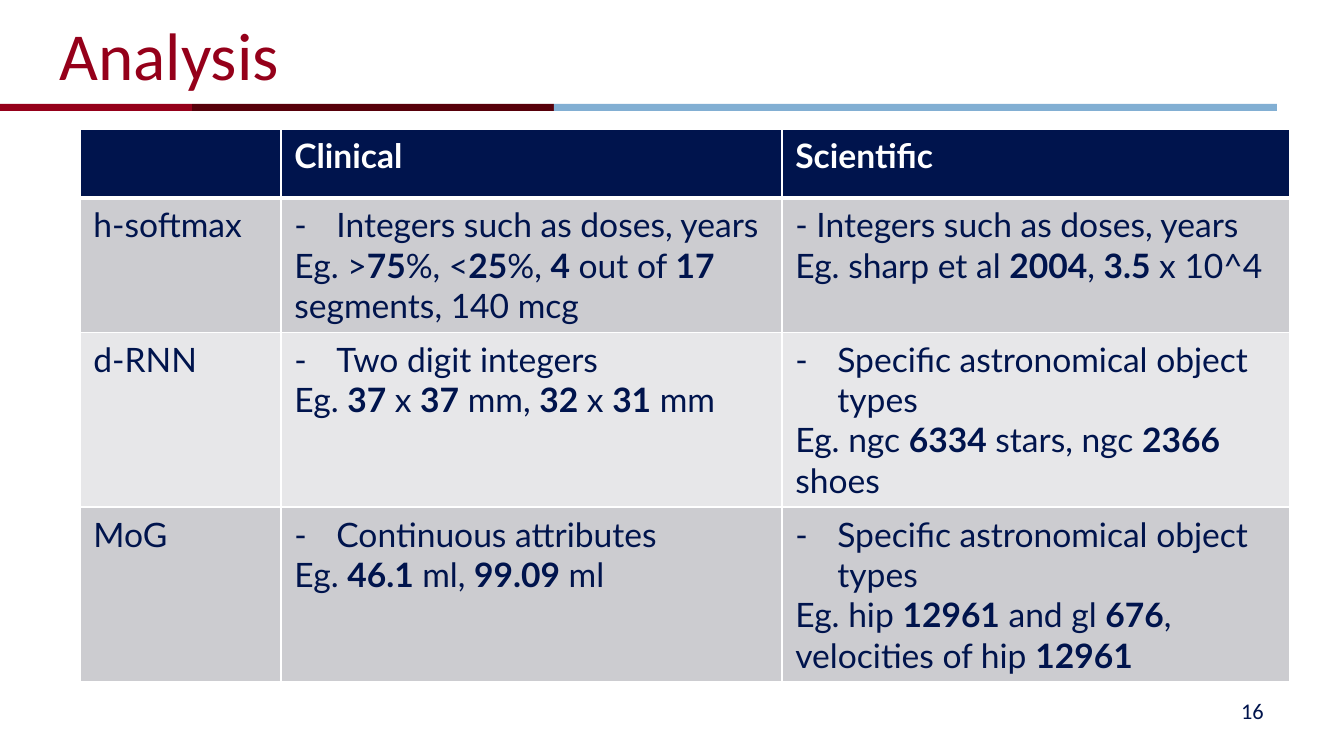
import pptx
import pptx.util
import pptx.dml.color
import pptx.enum.shapes
import pptx.enum.text
import pptx.oxml
import pptx.oxml.ns

PX = 914400 / 134.4
W, H = 1344, 756
COLORS = {"red": "95001A", "maroon": "57000A", "sky": "82AFD3", "navy": "00144D",
          "white": "FFFFFF", "dark_band": "CCCCD0", "light_band": "E7E7E9"}
TITLE = "Analysis"
PAGE = "16"
RULE_TOP, RULE_HEIGHT = 104, 7
RULE = [("red", -1, 192), ("maroon", 192, 554), ("sky", 554, 1277)]
BULLET, BOLD = "• ", "**"
ROWS = [
    [[], ["**Clinical**"], ["**Scientific**"]],
    [["h-softmax"],
     ["• Integers such as doses, years",
      "Eg. >**75**%, <**25**%, **4** out of **17** segments, 140 mcg"],
     ["- Integers such as doses, years",
      "Eg. sharp et al **2004**, **3.5** x 10^4"]],
    [["d-RNN"],
     ["• Two digit integers", "Eg. **37** x **37** mm, **32** x **31** mm"],
     ["• Specific astronomical object types",
      "Eg. ngc **6334** stars, ngc **2366** shoes"]],
    [["MoG"],
     ["• Continuous attributes", "Eg. **46.1** ml, **99.09** ml"],
     ["• Specific astronomical object types",
      "Eg. hip **12961** and gl **676**, velocities of hip **12961**"]],
]
COL_WIDTHS = [201, 501, 508]
ROW_HEIGHTS = [69, 134, 174, 174]
TABLE_LEFT, TABLE_TOP = 80, 129
INDENT = 42


def emu(px):
    return pptx.util.Emu(round(px * PX))


def rgb(name):
    return pptx.dml.color.RGBColor.from_string(COLORS[name])


def paint(fill, color):
    fill.solid()
    fill.fore_color.rgb = rgb(color)


def place(sp, left, top, width, height):
    box = {"left": left, "top": top, "width": width, "height": height}
    for key, value in box.items():
        setattr(sp, key, emu(value))


def add_run(p, text, font, size, color, bold=False):
    r = p.add_run()
    r.text = text
    style = {"name": font, "size": pptx.util.Pt(size), "bold": bold}
    for key, value in style.items():
        setattr(r.font, key, value)
    r.font.color.rgb = rgb(color)


def add_line_of_text(p, text, color):
    if text.startswith(BULLET):
        text = text[len(BULLET):]
        pPr = p._p.get_or_add_pPr()
        pPr.set("marL", str(emu(INDENT)))
        pPr.set("indent", str(emu(-INDENT)))
        for tag in ('buFont typeface="Lato"', 'buChar char="-"'):
            pPr.append(pptx.oxml.parse_xml(f'<a:{tag} {pptx.oxml.ns.nsdecls("a")}/>'))
    for i, part in enumerate(text.split(BOLD)):
        if part:
            add_run(p, part, "Lato", 18, color, i % 2 == 1)


def add_borders(cell, bottom_width):
    tcPr = cell._tc.get_or_add_tcPr()
    for side, width in zip("LRTB", (1, 1, 1, bottom_width)):
        tcPr.append(pptx.oxml.parse_xml(
            f'<a:ln{side} {pptx.oxml.ns.nsdecls("a")} w="{pptx.util.Pt(width)}">'
            f'<a:solidFill><a:srgbClr val="{COLORS["white"]}"/></a:solidFill></a:ln{side}>'))


prs = pptx.Presentation()
prs.slide_width, prs.slide_height = emu(W), emu(H)
s = prs.slides.add_slide(prs.slide_layouts[5])

for color, left, right in RULE:
    sp = s.shapes.add_shape(pptx.enum.shapes.MSO_SHAPE.RECTANGLE, 0, 0, 0, 0)
    place(sp, left, RULE_TOP, right - left, RULE_HEIGHT)
    paint(sp.fill, color)
    sp.line.fill.background()
    sp.shadow.inherit = False

title = s.shapes.title
page = s.shapes.add_textbox(0, 0, 0, 0)
for sp, box, text, size, color, align in [
    (title, (46, 3, 1210, 102), TITLE, 36, "red", "LEFT"),
    (page, (964, 691, 313, 40), PAGE, 12, "navy", "RIGHT"),
]:
    place(sp, *box)
    tf = sp.text_frame
    frame = {"word_wrap": True, "auto_size": pptx.enum.text.MSO_AUTO_SIZE.NONE,
             "vertical_anchor": pptx.enum.text.MSO_ANCHOR.MIDDLE}
    for key, value in frame.items():
        setattr(tf, key, value)
    p = tf.paragraphs[0]
    p.alignment = pptx.enum.text.PP_ALIGN[align]
    add_run(p, text, "Calibri", size, color)

table = s.shapes.add_table(len(ROWS), len(COL_WIDTHS), emu(TABLE_LEFT), emu(TABLE_TOP),
                           emu(sum(COL_WIDTHS)), emu(sum(ROW_HEIGHTS))).table
for column, width in zip(table.columns, COL_WIDTHS):
    column.width = emu(width)
for i, (row, height) in enumerate(zip(ROWS, ROW_HEIGHTS)):
    table.rows[i].height = emu(height)
    band = "navy" if i == 0 else ("light_band", "dark_band")[i % 2]
    for j, lines in enumerate(row):
        cell = table.cell(i, j)
        add_borders(cell, 3 if i == 0 else 1)
        paint(cell.fill, band)
        tf = cell.text_frame
        for k, text in enumerate(lines):
            p = tf.add_paragraph() if k else tf.paragraphs[0]
            add_line_of_text(p, text, "white" if i == 0 else "navy")

prs.save("out.pptx")
